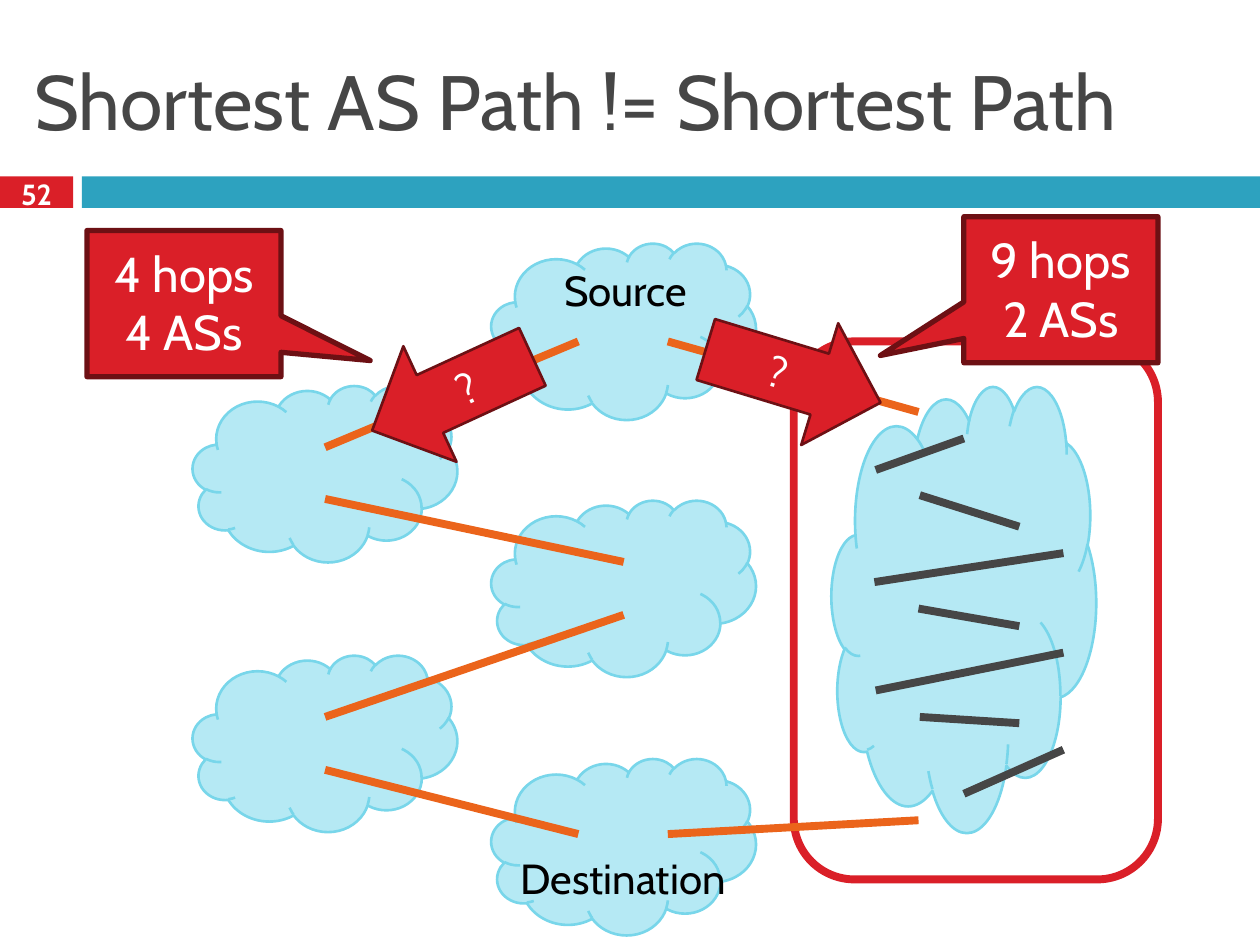
from pptx import Presentation
from pptx.dml.color import RGBColor
from pptx.enum.shapes import MSO_CONNECTOR, MSO_SHAPE
from pptx.enum.text import MSO_ANCHOR, MSO_AUTO_SIZE, PP_ALIGN
from pptx.oxml.ns import qn
from pptx.util import Inches, Pt
from lxml import etree

RECT, ROUND = MSO_SHAPE.RECTANGLE, MSO_SHAPE.ROUNDED_RECTANGLE
CLOUD, CALL = MSO_SHAPE.CLOUD, MSO_SHAPE.RECTANGULAR_CALLOUT
LEFT, RIGHT = MSO_SHAPE.LEFT_ARROW, MSO_SHAPE.RIGHT_ARROW
STRAIGHT = MSO_CONNECTOR.STRAIGHT
TOP, MIDDLE = MSO_ANCHOR.TOP, MSO_ANCHOR.MIDDLE
START, CENTER = PP_ALIGN.LEFT, PP_ALIGN.CENTER
NONE = MSO_AUTO_SIZE.NONE

COLS, ROWS = 100, 75
FONT = "Cabin"
HUES = {
    "red": "DA1F28", "wine": "6D1014", "teal": "2DA2BF", "sky": "B5E9F4",
    "rim": "78D6EA", "flame": "EB641B", "slate": "464646",
    "white": "FFFFFF", "black": "000000",
}


class Deck:
    """Holds the style and the current slide; lengths are grid columns and rows."""

    def __init__(self):
        self.prs = Presentation()
        self.prs.slide_width = Inches(10)
        self.prs.slide_height = Inches(7.5)
        self.slide = self.prs.slides.add_slide(self.prs.slide_layouts[5])

    def hue(self, name):
        return RGBColor.from_string(HUES[name])

    def spot(self, col, row):
        return (round(self.prs.slide_width * col / COLS),
                round(self.prs.slide_height * row / ROWS))

    def box(self, area):
        return self.spot(*area[:2]) + self.spot(*area[2:])

    def letter(self, frame, lines, size, hue, align=CENTER, anchor=MIDDLE,
               bold=False, wrap=True):
        frame.auto_size = NONE
        frame.word_wrap = wrap
        frame.vertical_anchor = anchor
        for i, line in enumerate(lines):
            para = frame.add_paragraph() if i else frame.paragraphs[0]
            para.alignment = align
            run = para.add_run()
            run.text = line
            font = run.font
            font.name, font.size, font.bold = FONT, Pt(size), bold
            font.color.rgb = self.hue(hue)

    def title(self, text, area):
        head = self.slide.shapes.title
        head.left, head.top, head.width, head.height = self.box(area)
        self.letter(head.text_frame, [text], 44, "slate", START)

    def shape(self, kind, area, fill=None, line=None, width=1.5, turn=0):
        item = self.slide.shapes.add_shape(kind, *self.box(area))
        item.shadow.inherit = False
        item.rotation = turn
        if fill:
            item.fill.solid()
            item.fill.fore_color.rgb = self.hue(fill)
        else:
            item.fill.background()
        if line:
            item.line.color.rgb = self.hue(line)
            item.line.width = Pt(width)
        else:
            item.line.fill.background()
        return item

    def label(self, lines, area, size, hue, **style):
        item = self.slide.shapes.add_textbox(*self.box(area))
        self.letter(item.text_frame, lines, size, hue, **style)

    def link(self, start, end, hue):
        item = self.slide.shapes.add_connector(
            STRAIGHT, *self.spot(*start), *self.spot(*end))
        item.line.color.rgb = self.hue(hue)
        item.line.width = Pt(4.5)
        etree.SubElement(item._element.spPr, qn("a:effectLst"))

    def arrow(self, kind, area, turn):
        item = self.shape(kind, area, "red", "wine", turn=turn)
        self.letter(item.text_frame, ["?"], 24, "white")

    def callout(self, lines, col, row, tip):
        item = self.shape(CALL, (col, row, 15.4, 11.6), "red", "wine", 3)
        item.adjustments[0], item.adjustments[1] = tip
        self.label(lines, (col, row + 0.5, 15.4, 10.4), 28, "white", anchor=TOP)


def main():
    deck = Deck()
    deck.shape(RECT, (0, 14, 5.8, 2.5), "red")
    deck.shape(RECT, (6.5, 14, 93.5, 2.5), "teal")
    deck.shape(ROUND, (63, 27.1, 28.9, 42.7), line="red", width=4.5)
    deck.title("Shortest AS Path != Shortest Path", (1.7, 2.5, 96.7, 10.8))
    deck.label(["52"], (0, 13.7, 5.8, 3.3), 16.6, "white", bold=True)

    near, mid, far = 15.3, 39, 66
    clouds = [(mid, 19.3, 14), (near, 30.6, 14), (mid, 39.7, 14),
              (near, 52, 14), (mid, 60.2, 14), (far, 30.6, 35.4)]
    for col, row, high in clouds:
        deck.shape(CLOUD, (col, row, 21, high), "sky", "rim")

    hops = [
        ((25.8, 35.5), (45.9, 27.1)), ((25.8, 39.6), (49.5, 44.6)),
        ((25.8, 56.9), (49.5, 48.8)), ((45.9, 66.2), (25.8, 61.1)),
        ((72.9, 32.7), (53, 27.1)), ((53, 66.2), (72.9, 65.1)),
    ]
    inner = [
        ((69.5, 37.3), (76.5, 34.8)), ((73, 39.3), (80.9, 41.8)),
        ((69.4, 46.2), (84.4, 43.9)), ((80.9, 49.7), (72.9, 48.3)),
        ((84.4, 51.8), (69.5, 54.8)), ((80.9, 57.4), (73, 56.9)),
        ((84.4, 59.5), (76.5, 63)),
    ]
    for hue, links in (("flame", hops), ("slate", inner)):
        for start, end in links:
            deck.link(start, end, hue)

    for name, area in (("Source", (43.3, 20.5, 12.7, 5)),
                       ("Destination", (40, 67.2, 18.9, 5))):
        deck.label([name], area, 24, "black", anchor=TOP, wrap=False)

    deck.arrow(RIGHT, (55.7, 24.8, 14.5, 10.1), 16.9)
    deck.arrow(LEFT, (28.9, 26.2, 14, 10.1), 335.3)
    deck.callout(["4 hops", "4 ASs"], 6.9, 18.3, (0.96, 0.39))
    deck.callout(["9 hops", "2 ASs"], 76.5, 17.2, (-0.93, 0.45))
    deck.prs.save("out.pptx")


if __name__ == "__main__":
    main()
